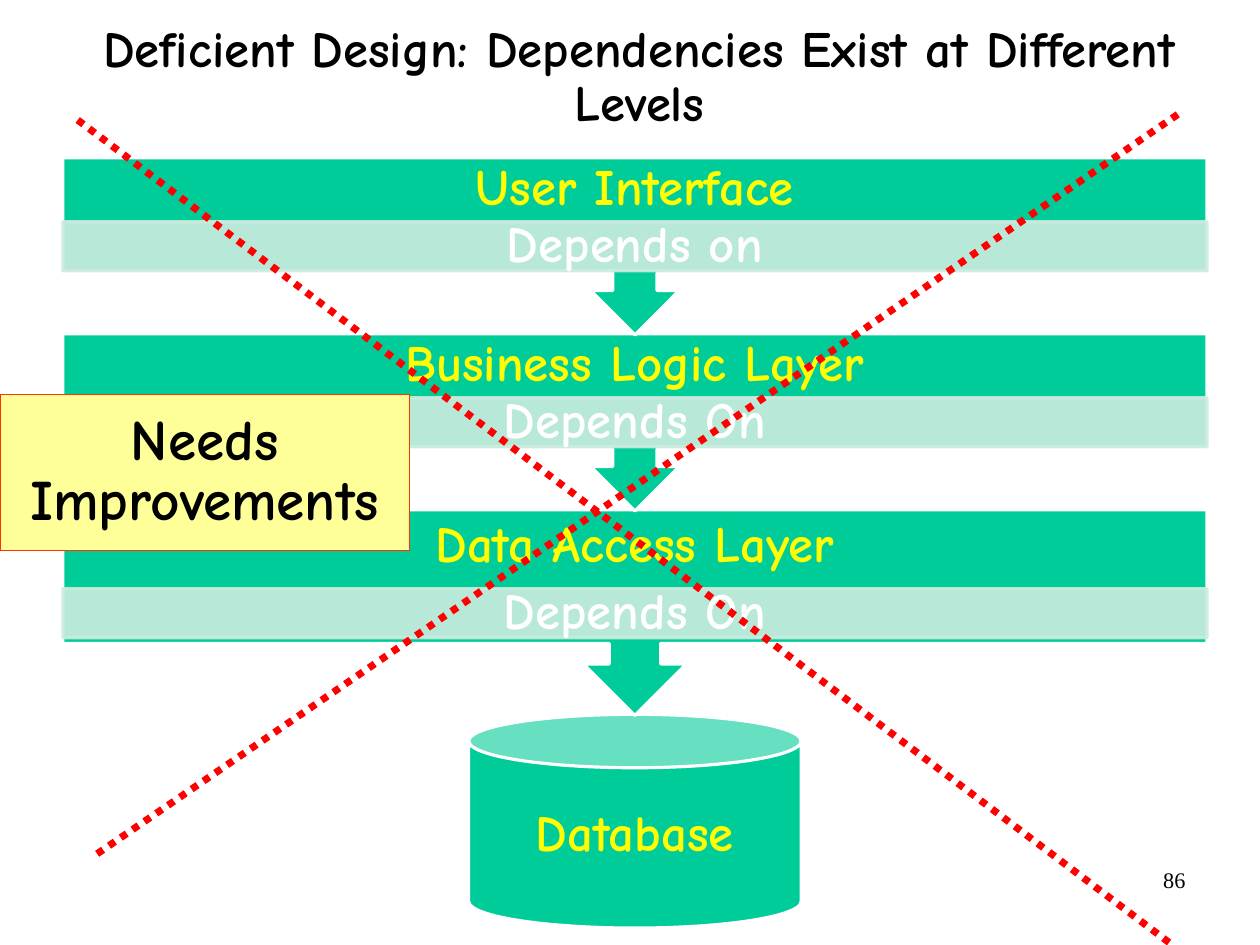
from lxml import etree
from pptx import Presentation
from pptx.dml.color import RGBColor
from pptx.enum.dml import MSO_LINE
from pptx.enum.shapes import MSO_CONNECTOR, MSO_SHAPE
from pptx.enum.text import MSO_ANCHOR, MSO_AUTO_SIZE, PP_ALIGN
from pptx.oxml.ns import qn
from pptx.util import Cm, Inches, Pt

COLORS = {"green": "00CC99", "mint": "CCECDE", "yellow": "FFFF00", "note": "FFFF99",
          "orange": "FF3300", "red": "FF0000", "white": "FFFFFF", "black": "000000"}
FONT = "Comic Neue"


def write(shape, text, size, color, spacing, bottom=0):
    """Put one centred bold paragraph in the shape; bottom is the lower inset in inches."""
    frame = shape.text_frame
    frame.word_wrap = True
    frame.auto_size = MSO_AUTO_SIZE.NONE
    frame.vertical_anchor = MSO_ANCHOR.MIDDLE
    frame.margin_left = frame.margin_top = frame.margin_right = 0
    frame.margin_bottom = Inches(bottom)
    frame.text = text
    paragraph = frame.paragraphs[0]
    paragraph.alignment = PP_ALIGN.CENTER
    paragraph.line_spacing = spacing
    paragraph.font.name = FONT
    paragraph.font.size = Pt(size)
    paragraph.font.bold = True
    paragraph.font.color.rgb = RGBColor.from_string(COLORS[color])


def add_block(kind, left, top, width, height, fill, line, line_width=2):
    block = slide.shapes.add_shape(kind, Inches(left), Inches(top), Inches(width), Inches(height))
    block.shadow.inherit = False
    block.fill.solid()
    block.fill.fore_color.rgb = RGBColor.from_string(COLORS[fill])
    block.line.color.rgb = RGBColor.from_string(COLORS[line])
    block.line.width = Pt(line_width)
    return block


prs = Presentation()
prs.slide_width, prs.slide_height = Cm(28), Cm(21)
slide = prs.slides.add_slide(prs.slide_layouts[5])

title = slide.shapes.title
title.left, title.top = Inches(0.43), Inches(0)
title.width, title.height = Inches(10.33), Inches(1.37)
write(title, "Deficient Design: Dependencies Exist at Different Levels", 32, "black", 0.88)

page_number = slide.shapes.add_textbox(Inches(7.9), Inches(7.53), Inches(2.57), Inches(0.57))
page_number.text_frame.word_wrap = True
page_number.text_frame.text = "86"
number = page_number.text_frame.paragraphs[0]
number.alignment = PP_ALIGN.RIGHT
number.font.name = "Times New Roman"
number.font.size = Pt(14)
number.font.color.rgb = RGBColor.from_string(COLORS["black"])

database = add_block(MSO_SHAPE.CAN, 4.1, 6.25, 2.91, 1.87, "green", "white")
write(database, "Database", 32, "yellow", 0.9)

# Layers from the bottom up: name, dependency, top, height, height of the name area, top of the bar
layers = [
    ("Data Access Layer", "Depends On", 4.46, 1.8, 0.63, 5.15),
    ("Business Logic Layer", "Depends On", 2.92, 1.55, 0.55, 3.48),
    ("User Interface", "Depends on", 1.38, 1.55, 0.55, 1.94),
]
BOX_SHARE = 0.65  # part of the callout above its arrow
for name, dependency, top, height, name_height, bar_top in layers:
    layer = add_block(MSO_SHAPE.DOWN_ARROW_CALLOUT, 0.55, top, 10.01, height, "green", "white")
    write(layer, name, 32, "yellow", 0.9, bottom=BOX_SHARE * height - name_height)

    bar = add_block(MSO_SHAPE.RECTANGLE, 0.55, bar_top, 10.01, 0.43, "mint", "mint")
    for color in bar._element.spPr.iter(qn("a:srgbClr")):
        etree.SubElement(color, qn("a:alpha"), val="90000")
    write(bar, dependency, 32, "white", 0.9)

verdict = add_block(MSO_SHAPE.RECTANGLE, 0, 3.45, 3.58, 1.37, "note", "orange", 0.75)
write(verdict, "Needs Improvements", 36, "black", 0.88)

for x1, y1, x2, y2 in [(0.68, 1.05, 10.26, 8.27), (0.85, 7.47, 10.35, 0.97)]:
    cross = slide.shapes.add_connector(
        MSO_CONNECTOR.STRAIGHT, Inches(x1), Inches(y1), Inches(x2), Inches(y2))
    cross.line.color.rgb = RGBColor.from_string(COLORS["red"])
    cross.line.width = Pt(4.5)
    cross.line.dash_style = MSO_LINE.ROUND_DOT
    etree.SubElement(cross._element.spPr, qn("a:effectLst"))

prs.save("out.pptx")
